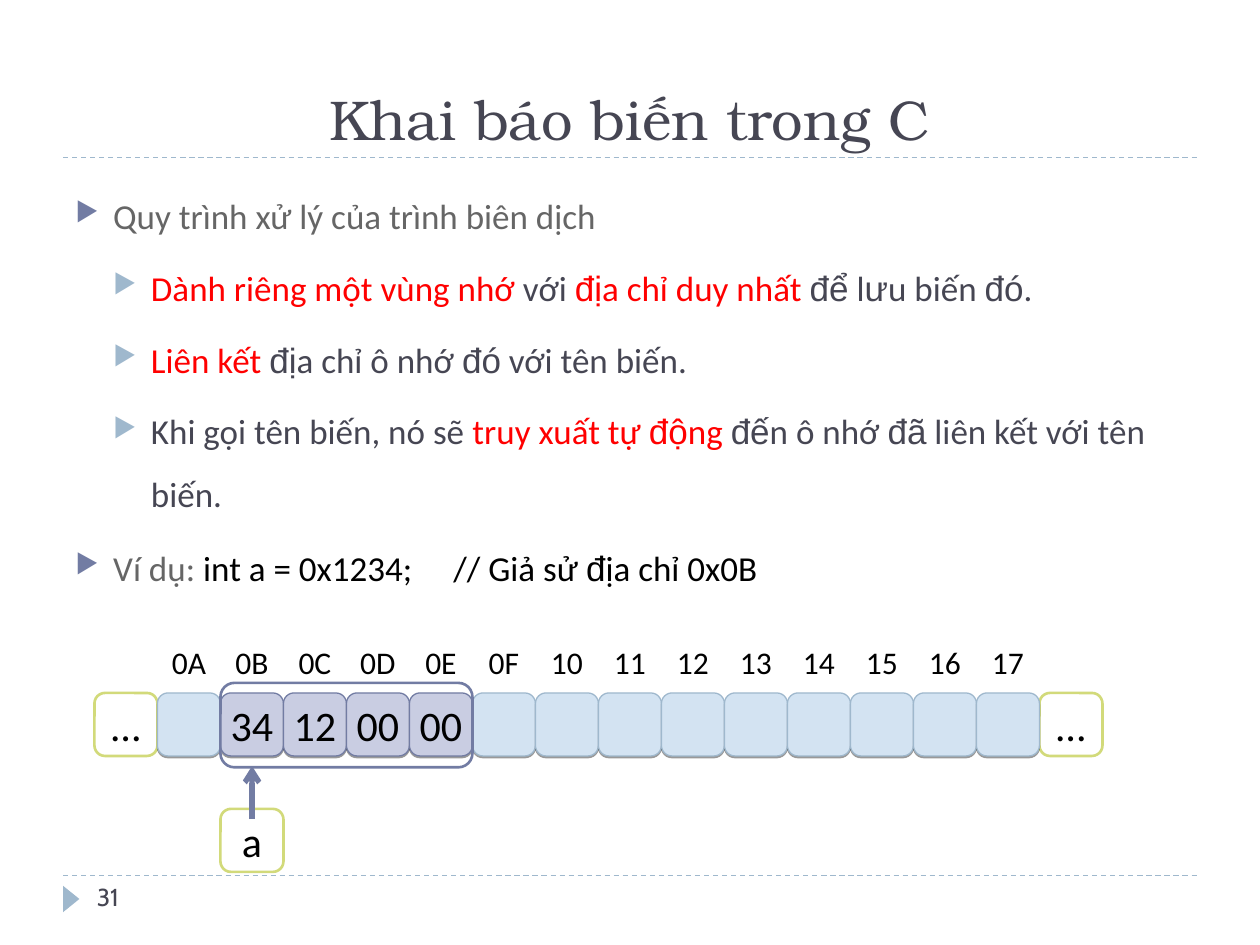
"""Builds a slide on declaring variables in C, with a memory strip."""
from lxml import etree
from pptx import Presentation, util as u
from pptx.dml.color import RGBColor
from pptx.enum import dml, shapes, text
from pptx.oxml import ns


class Theme:
    ink, grey, red, black, white = "464653", "666666", "FF0000", "000000", "FFFFFF"
    blue, pale, plum, lilac, lime = "9FB8CD", "D3E3F2", "727CA3", "C9CDE2", "D2DA7A"
    body, alt, head, foot = "Calibri", "Arial", "TeX Gyre Bonum", "Cabin"
    title, main, cell, label, page = 32, 20, 24, 18, 14


def style(run, size, face, color):
    run.font.size = u.Pt(size)
    run.font.name = face
    run.font.color.rgb = RGBColor.from_string(color)


def add_box(x, y, wide, high, fill=None, line=None, width=1.5, words="", size=Theme.cell, shade=False):
    box = slide.shapes.add_shape(shapes.MSO_SHAPE.ROUNDED_RECTANGLE,
                                 u.Inches(x), u.Inches(y), u.Inches(wide), u.Inches(high))
    box.shadow.inherit = False
    if fill:
        box.fill.solid()
        box.fill.fore_color.rgb = RGBColor.from_string(fill)
    else:
        box.fill.background()
    if line:
        box.line.color.rgb = RGBColor.from_string(line)
        box.line.width = u.Pt(width)
    else:
        box.line.fill.background()
    if shade:
        effects = box._element.spPr.find(ns.qn("a:effectLst"))
        cast = etree.SubElement(effects, ns.qn("a:outerShdw"), dist=str(u.Pt(1)), dir="5400000", rotWithShape="0")
        tint = etree.SubElement(cast, ns.qn("a:srgbClr"), val=Theme.black)
        etree.SubElement(tint, ns.qn("a:alpha"), val="40000")
    if words:
        frame = box.text_frame
        frame.text = words
        frame.word_wrap = False
        frame.vertical_anchor = text.MSO_ANCHOR.MIDDLE
        frame.paragraphs[0].alignment = text.PP_ALIGN.CENTER
        style(frame.paragraphs[0].runs[0], size, Theme.body, Theme.black)


deck = Presentation()
deck.slide_width, deck.slide_height = u.Inches(10), u.Inches(7.5)
slide = deck.slides.add_slide(deck.slide_layouts[6])

for y in (6.95, 1.25):
    rule = slide.shapes.add_connector(shapes.MSO_CONNECTOR.STRAIGHT,
                                      u.Inches(0.5), u.Inches(y), u.Inches(9.5), u.Inches(y))
    rule.line.color.rgb = RGBColor.from_string(Theme.blue)
    rule.line.width = u.Pt(0.75)
    rule.line.dash_style = dml.MSO_LINE.DASH
    etree.SubElement(rule._element.spPr, ns.qn("a:effectLst"))

mark = slide.shapes.add_shape(shapes.MSO_SHAPE.ISOSCELES_TRIANGLE,
                              u.Inches(0.46), u.Inches(7.07), u.Inches(0.21), u.Inches(0.13))
mark.rotation = 90
mark.shadow.inherit = False
mark.fill.solid()
mark.fill.fore_color.rgb = RGBColor.from_string(Theme.blue)
mark.line.fill.background()

title = slide.shapes.add_textbox(u.Inches(0.5), u.Inches(0.17), u.Inches(9), u.Inches(1.08)).text_frame
title.text = "Khai báo biến trong C"
title.word_wrap = True
title.vertical_anchor = text.MSO_ANCHOR.BOTTOM
title.paragraphs[0].alignment = text.PP_ALIGN.CENTER
style(title.paragraphs[0].runs[0], Theme.title, Theme.head, Theme.ink)

# Text between bars is set in the alternate face.
points = [
    (0, [(Theme.grey, "Quy trình xử lý của trình biên dịch")]),
    (1, [(Theme.red, "Dành riêng một vùng nhớ"), (Theme.ink, " với "),
         (Theme.red, "|đị|a chỉ duy nhất "), (Theme.ink, "|để| l|ư|u biến |đó|.")]),
    (1, [(Theme.red, "Liên kết "), (Theme.ink, "|đị|a chỉ ô nhớ |đó| với tên biến.")]),
    (1, [(Theme.ink, "Khi gọi tên biến, nó sẽ "), (Theme.red, "truy xuất tự |độ|ng "),
         (Theme.ink, "|đế|n ô nhớ |đã| liên kết với tên biến.")]),
    (0, [(Theme.grey, "Ví dụ:"), (Theme.black, " int a = 0x1234;\t// Giả sử |đ|ịa chỉ 0x0B")]),
]
body = slide.shapes.add_textbox(u.Inches(0.5), u.Inches(1.33), u.Inches(9), u.Inches(5.4)).text_frame
body.word_wrap = True
for i, (level, parts) in enumerate(points):
    para = body.add_paragraph() if i else body.paragraphs[0]
    para.level = level
    para.line_spacing = 1.5
    para.space_before = u.Pt(6 - level if i else 0)
    props = para._p.get_or_add_pPr()
    props.set("marL", str(u.Inches(0.3 * (level + 1))))
    props.set("indent", str(u.Inches(-0.3)))
    hue = etree.SubElement(props, ns.qn("a:buClr"))
    etree.SubElement(hue, ns.qn("a:srgbClr"), val=Theme.blue if level else Theme.plum)
    etree.SubElement(props, ns.qn("a:buSzPct"), val="76000")
    etree.SubElement(props, ns.qn("a:buChar"), char="▶")
    tabs = etree.SubElement(props, ns.qn("a:tabLst"))
    for stop in range(1, 9):
        etree.SubElement(tabs, ns.qn("a:tab"), pos=str(u.Inches(stop)), algn="l")
    for color, words in parts:
        for j, piece in enumerate(words.split("|")):
            if piece:
                run = para.add_run()
                run.text = piece
                style(run, Theme.main, Theme.alt if j % 2 else Theme.body, color)

side = 0.5
for x in (0.75, 8.25):
    add_box(x, 5.5, side, side, Theme.white, Theme.lime, words="…")

bytes_at = {0x0B: "34", 0x0C: "12", 0x0D: "00", 0x0E: "00"}
for i, place in enumerate(range(0x0A, 0x18)):
    x = 1.25 + i * side
    used = place in bytes_at
    add_box(x, 5, side, side, words=f"{place:02X}", size=Theme.label)
    add_box(x, 5.5, side, side, Theme.lilac if used else Theme.pale, Theme.plum if used else Theme.blue,
            0.75, bytes_at.get(place, ""), shade=True)

add_box(1.75, 6.42, side, side, Theme.white, Theme.lime, words="a")
arrow = slide.shapes.add_connector(shapes.MSO_CONNECTOR.STRAIGHT,
                                   u.Inches(2), u.Inches(6.5), u.Inches(2), u.Inches(6.08))
arrow.line.color.rgb = RGBColor.from_string(Theme.plum)
arrow.line.width = u.Pt(3)
etree.SubElement(arrow.line._get_or_add_ln(), ns.qn("a:tailEnd"), type="arrow")
etree.SubElement(arrow._element.spPr, ns.qn("a:effectLst"))
add_box(1.75, 5.42, 2, 0.67, line=Theme.plum)

page = slide.shapes.add_textbox(u.Inches(0.67), u.Inches(6.95), u.Inches(2.17), u.Inches(0.4)).text_frame
page.text = "31"
page.word_wrap = True
style(page.paragraphs[0].runs[0], Theme.page, Theme.foot, Theme.ink)

deck.save("out.pptx")
